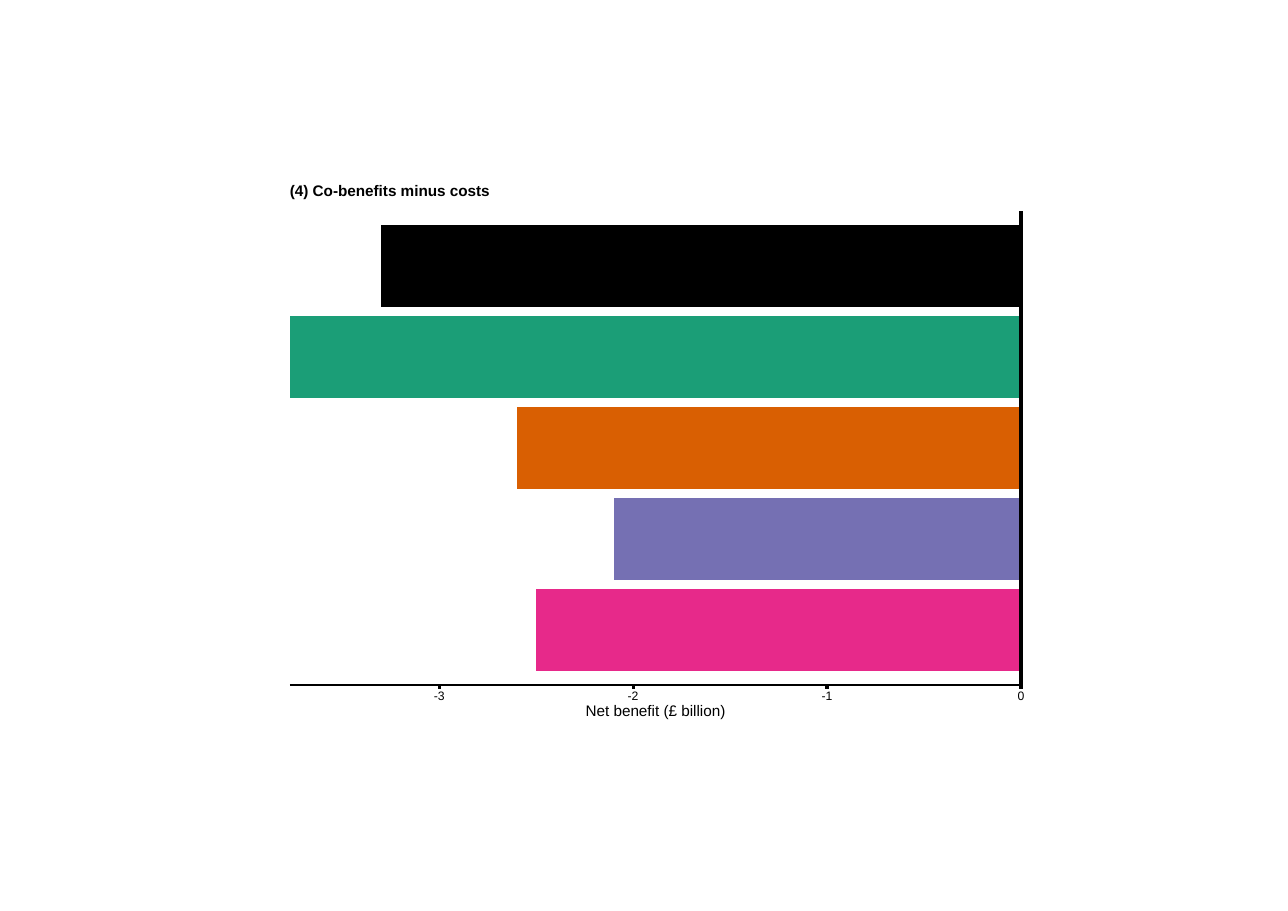
from lxml import etree
from pptx import Presentation
from pptx import util as u
from pptx.chart import data as chart_data
from pptx.dml.color import RGBColor
from pptx.enum import chart as chart_enum, shapes, text
from pptx.oxml import parse_xml
from pptx.oxml.ns import nsdecls, qn

BLACK = RGBColor(0x00, 0x00, 0x00)
GREEN = RGBColor(0x1B, 0x9E, 0x77)
ORANGE = RGBColor(0xD9, 0x5F, 0x02)
PURPLE = RGBColor(0x75, 0x70, 0xB3)
PINK = RGBColor(0xE7, 0x29, 0x8A)

FONT = "Arial"
BARS = [(-3.3, BLACK), (-3.8, GREEN), (-2.6, ORANGE), (-2.1, PURPLE), (-2.5, PINK)]
AXIS_MINIMUM = -3.77
TICKS = range(-3, 1)
END_PADDING = 0.1  # space above and below the bars, in bar slots

# Panel box in centimetres: left, top, width, height
PANEL = (6.69, 4.87, 16.87, 10.93)


def add_label(slide, words, box, size, bold=False, align=text.PP_ALIGN.CENTER):
    """Place one line of text in a box without margins."""
    frame = slide.shapes.add_textbox(*(u.Cm(value) for value in box)).text_frame
    settings = {"margin_left": 0, "margin_top": 0, "margin_right": 0, "margin_bottom": 0,
                "word_wrap": True, "vertical_anchor": text.MSO_ANCHOR.MIDDLE}
    for name, value in settings.items():
        setattr(frame, name, value)
    paragraph = frame.paragraphs[0]
    paragraph.text = words
    paragraph.alignment = align
    paragraph.line_spacing = u.Pt(size)
    font = paragraph.runs[0].font
    for name, value in {"name": FONT, "size": u.Pt(size), "bold": bold}.items():
        setattr(font, name, value)
    font.color.rgb = BLACK


def add_line(slide, start, end, width):
    """Draw a black line between two points."""
    points = (u.Cm(value) for value in (*start, *end))
    connector = slide.shapes.add_connector(shapes.MSO_CONNECTOR.STRAIGHT, *points)
    connector.line.color.rgb = BLACK
    connector.line.width = u.Pt(width)
    etree.SubElement(connector._element.spPr, qn("a:effectLst"))


def add_bars(slide, box):
    """Draw the bar chart, its plot area filling the frame."""
    left, top, width, height = box
    slot = height / (len(BARS) + 2 * END_PADDING)
    data = chart_data.CategoryChartData()
    data.categories = [str(number) for number in range(1, len(BARS) + 1)]
    data.add_series("Net benefit (£ billion)", [value for value, _ in BARS])
    frame = slide.shapes.add_chart(
        chart_enum.XL_CHART_TYPE.BAR_CLUSTERED, u.Cm(left), u.Cm(top + END_PADDING * slot),
        u.Cm(width), u.Cm(slot * len(BARS)), data)
    chart = frame.chart
    chart.has_legend = False
    chart.has_title = False
    chart.font.name = FONT
    chart.font.size = u.Pt(8)

    # Scales
    chart.category_axis.reverse_order = True
    value_axis = chart.value_axis
    value_axis.minimum_scale = AXIS_MINIMUM
    value_axis.maximum_scale = 0
    value_axis.has_major_gridlines = False
    for axis in (chart.category_axis, value_axis):
        axis.visible = False

    # Bars
    plot = chart.plots[0]
    plot.gap_width = 11
    plot.vary_by_categories = False
    series = plot.series[0]
    series.invert_if_negative = False
    for index, (_, color) in enumerate(BARS):
        fill = series.points[index].format.fill
        fill.solid()
        fill.fore_color.rgb = color

    # Plot area over the whole frame
    plot_area = chart._chartSpace.chart.plotArea
    for layout in plot_area.findall(qn("c:layout")):
        plot_area.remove(layout)
    plot_area.insert(0, parse_xml(
        f'<c:layout {nsdecls("c")}><c:manualLayout><c:layoutTarget val="inner"/>'
        '<c:xMode val="edge"/><c:yMode val="edge"/><c:x val="0"/><c:y val="0"/>'
        '<c:w val="1"/><c:h val="1"/></c:manualLayout></c:layout>'))


def add_axes(slide, box):
    """Draw the zero line and the bottom axis with ticks and labels."""
    left, top, width, height = box
    right, bottom = left + width, top + height
    add_line(slide, (right, top), (right, bottom), 3.2)
    add_line(slide, (left, bottom), (right, bottom), 1.07)
    for tick in TICKS:
        x = right - width * tick / AXIS_MINIMUM
        add_line(slide, (x, bottom), (x, bottom + 0.1), 2.13)
        add_label(slide, str(tick), (x - 0.5, bottom + 0.18, 1, 0.2), 8)
    add_label(slide, "Net benefit (£ billion)", (left, bottom + 0.46, width, 0.33), 10)


def add_panel(slide, box):
    """Draw the titled chart panel."""
    left, top, width, _ = box
    add_bars(slide, box)
    add_axes(slide, box)
    add_label(slide, "(4) Co-benefits minus costs", (left, top - 0.6, width, 0.33), 10,
              bold=True, align=text.PP_ALIGN.LEFT)


def main():
    presentation = Presentation()
    presentation.slide_width = u.Cm(29.72)
    presentation.slide_height = u.Cm(21.01)
    slide = presentation.slides.add_slide(presentation.slide_layouts[6])
    add_panel(slide, PANEL)
    presentation.save("out.pptx")


if __name__ == "__main__":
    main()
